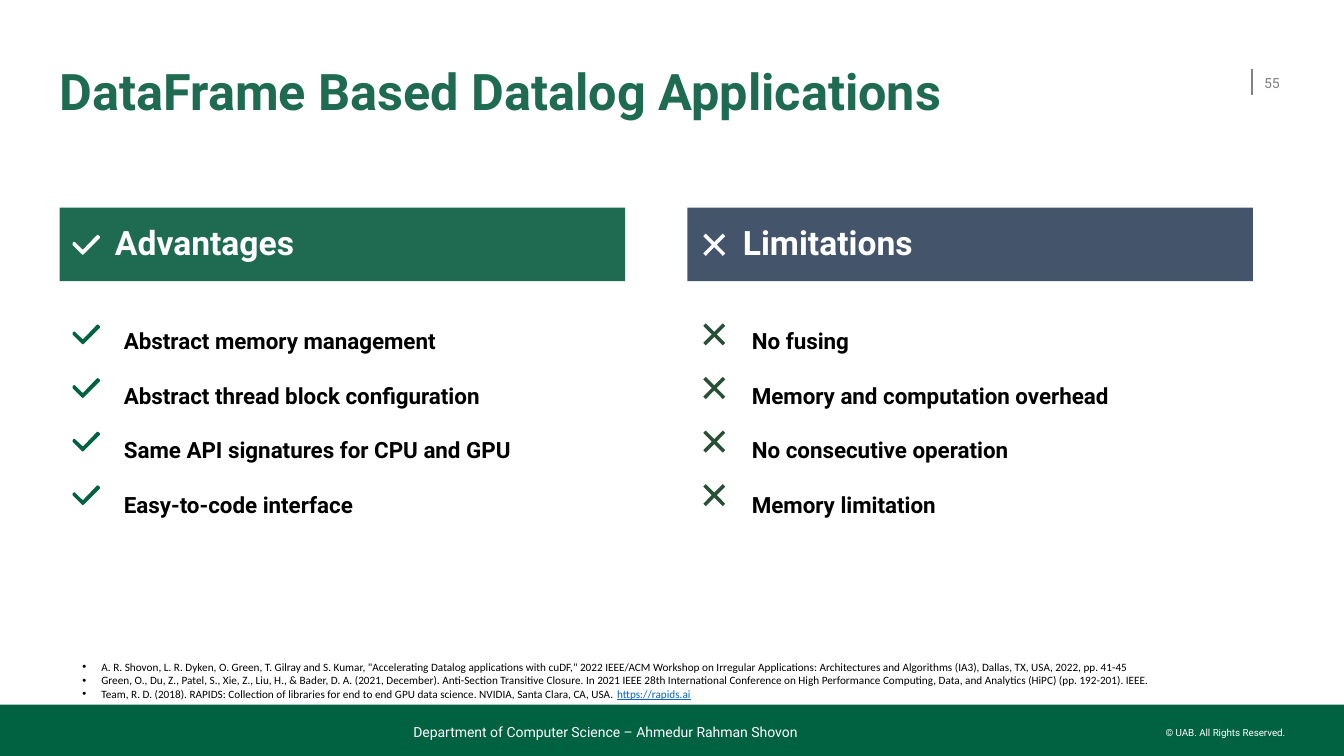
from dataclasses import dataclass

from lxml import etree
from pptx import Presentation
from pptx.dml.color import RGBColor
from pptx.enum.shapes import MSO_CONNECTOR, MSO_SHAPE
from pptx.enum.text import MSO_ANCHOR, PP_ALIGN
from pptx.oxml.ns import qn
from pptx.util import Emu, Inches, Pt

RECTANGLE = MSO_SHAPE.RECTANGLE
STRAIGHT = MSO_CONNECTOR.STRAIGHT
TOP, MIDDLE, BOTTOM = MSO_ANCHOR.TOP, MSO_ANCHOR.MIDDLE, MSO_ANCHOR.BOTTOM
LEFT, RIGHT = PP_ALIGN.LEFT, PP_ALIGN.RIGHT

WHITE = RGBColor(0xFF, 0xFF, 0xFF)
BLACK = RGBColor(0x00, 0x00, 0x00)
GREY = RGBColor(0x80, 0x82, 0x85)
TEAL = RGBColor(0x1E, 0x6B, 0x51)
SLATE = RGBColor(0x44, 0x54, 0x6A)
FOOTER_GREEN = RGBColor(0x00, 0x62, 0x41)
CROSS_GREEN = RGBColor(0x28, 0x51, 0x34)
LINK_BLUE = RGBColor(0x05, 0x63, 0xC1)

SLIDE_WIDTH, SLIDE_HEIGHT = Inches(13.33), Inches(7.5)


def across(percent: float) -> Emu:
    return Emu(round(SLIDE_WIDTH * percent / 100))


def down(percent: float) -> Emu:
    return Emu(round(SLIDE_HEIGHT * percent / 100))


@dataclass(frozen=True)
class Box:
    """A place on the slide, in percent of its width and height."""
    left: float
    top: float
    width: float
    height: float

    def emu(self) -> tuple[Emu, Emu, Emu, Emu]:
        return across(self.left), down(self.top), across(self.width), down(self.height)


@dataclass(frozen=True)
class Style:
    size: float
    color: RGBColor
    bold: bool = False
    font: str = "Roboto"


@dataclass(frozen=True)
class Label:
    text: str
    box: Box
    style: Style
    anchor: MSO_ANCHOR = TOP
    align: PP_ALIGN = LEFT
    wrap: bool = True


@dataclass(frozen=True)
class Side:
    heading: str
    left: float
    fill: RGBColor
    icon: str
    icon_color: RGBColor
    points: tuple[str, ...]


LABELS = (
    Label("DataFrame Based Datalog Applications", Box(4.43, 6.93, 87.22, 11.2),
          Style(36, TEAL, bold=True), MIDDLE),
    Label("55", Box(94.05, 8.27, 2.5, 5.33), Style(10, GREY), MIDDLE),
    Label("Department of Computer Science – Ahmedur Rahman Shovon",
          Box(30.75, 94.8, 53.1, 3.07), Style(10, WHITE), BOTTOM),
    Label("© UAB. All Rights Reserved.", Box(86.63, 96.13, 9, 1.6),
          Style(7, WHITE), align=RIGHT, wrap=False),
)

SIDES = (
    Side("Advantages", 4.43, TEAL, "check", FOOTER_GREEN,
         ("Abstract memory management", "Abstract thread block configuration",
          "Same API signatures for CPU and GPU", "Easy-to-code interface")),
    Side("Limitations", 51.15, SLATE, "cross", CROSS_GREEN,
         ("No fusing", "Memory and computation overhead",
          "No consecutive operation", "Memory limitation")),
)
HEADING_STYLE = Style(24, WHITE, bold=True)
POINT_STYLE = Style(16, BLACK, bold=True)
HEADING_ICON_TOP, FIRST_ICON_TOP, ICON_STEP = 31.07, 42.93, 7.09

CHECK_WIDTH, CHECK_UNITS = 2.03, 270
CHECK_OUTLINE = ((90, 190), (0, 100), (0, 80), (10, 70), (20, 70), (95, 143), (105, 143),
                 (240, 2), (250, 0), (268, 15), (270, 30), (110, 190), (100, 197))

REFERENCE_STYLE = Style(8, BLACK, font="Calibri")
REFERENCES = (
    'A. R. Shovon, L. R. Dyken, O. Green, T. Gilray and S. Kumar, "Accelerating Datalog '
    'applications with cuDF," 2022 IEEE/ACM Workshop on Irregular Applications: '
    'Architectures and Algorithms (IA3), Dallas, TX, USA, 2022, pp. 41-45',
    "Green, O., Du, Z., Patel, S., Xie, Z., Liu, H., & Bader, D. A. (2021, December). "
    "Anti-Section Transitive Closure. In 2021 IEEE 28th International Conference on High "
    "Performance Computing, Data, and Analytics (HiPC) (pp. 192-201). IEEE.",
    "Team, R. D. (2018). RAPIDS: Collection of libraries for end to end GPU data science. "
    "NVIDIA, Santa Clara, CA, USA. ",
)
REFERENCE_LINK = "https://rapids.ai"


def format_run(run, style: Style) -> None:
    run.font.name = style.font
    run.font.size = Pt(style.size)
    run.font.bold = style.bold
    run.font.color.rgb = style.color


def write(frame, text: str, style: Style) -> None:
    frame.text = text
    for paragraph in frame.paragraphs:
        for run in paragraph.runs:
            format_run(run, style)


def add_label(slide, label: Label) -> None:
    frame = slide.shapes.add_textbox(*label.box.emu()).text_frame
    frame.margin_left = frame.margin_right = frame.margin_top = frame.margin_bottom = 0
    frame.word_wrap = label.wrap
    frame.vertical_anchor = label.anchor
    write(frame, label.text, label.style)
    frame.paragraphs[0].alignment = label.align
    frame.paragraphs[0].line_spacing = 0.9 if label.style.bold else 1.0


def paint(shape, color: RGBColor) -> None:
    shape.shadow.inherit = False
    shape.fill.solid()
    shape.fill.fore_color.rgb = color
    shape.line.fill.background()


def add_bar(slide, box: Box, color: RGBColor):
    bar = slide.shapes.add_shape(RECTANGLE, *box.emu())
    paint(bar, color)
    return bar


def add_line(slide, start: tuple[float, float], end: tuple[float, float],
             color: RGBColor, weight: float) -> None:
    line = slide.shapes.add_connector(STRAIGHT, across(start[0]), down(start[1]),
                                      across(end[0]), down(end[1]))
    line.line.color.rgb = color
    line.line.width = Pt(weight)
    etree.SubElement(line._element.spPr, qn("a:effectLst"))


def add_check(slide, left: float, top: float, color: RGBColor) -> None:
    builder = slide.shapes.build_freeform(*CHECK_OUTLINE[0],
                                          scale=across(CHECK_WIDTH) / CHECK_UNITS)
    builder.add_line_segments(CHECK_OUTLINE[1:], close=True)
    paint(builder.convert_to_shape(across(left + 0.98), down(top)), color)


def add_cross(slide, left: float, top: float, color: RGBColor) -> None:
    start, end, bottom = left + 1.27, left + 2.72, top + 2.6
    add_line(slide, (start, top), (end, bottom), color, 2.5)
    add_line(slide, (start, bottom), (end, top), color, 2.5)


ICONS = {"check": add_check, "cross": add_cross}


def add_side(slide, side: Side) -> None:
    heading = add_bar(slide, Box(side.left, 27.47, 42.08, 9.73), side.fill).text_frame
    heading.margin_left = across(4.13)
    heading.vertical_anchor = MIDDLE
    write(heading, side.heading, HEADING_STYLE)
    heading.paragraphs[0].alignment = LEFT
    heading.paragraphs[0].line_spacing = 0.9

    points = slide.shapes.add_textbox(*Box(side.left + 4.05, 43.07, 37.95, 36.13).emu()).text_frame
    points.word_wrap = True
    write(points, "\n".join(side.points), POINT_STYLE)
    points.paragraphs[0].line_spacing = 0.9
    for paragraph in points.paragraphs[1:]:
        paragraph.line_spacing = 1.5
        paragraph.space_before = Pt(10)

    add_icon = ICONS[side.icon]
    add_icon(slide, side.left, HEADING_ICON_TOP, WHITE)
    for row in range(len(side.points)):
        add_icon(slide, side.left, FIRST_ICON_TOP + row * ICON_STEP, side.icon_color)


def add_references(slide) -> None:
    frame = slide.shapes.add_textbox(*Box(5.4, 86.67, 83.1, 6.67).emu()).text_frame
    frame.word_wrap = True
    write(frame, "\n".join(REFERENCES), REFERENCE_STYLE)
    indent = across(1.41)
    for paragraph in frame.paragraphs:
        properties = paragraph._p.get_or_add_pPr()
        properties.set("marL", str(indent))
        properties.set("indent", str(-indent))
        etree.SubElement(properties, qn("a:buFont"), typeface="Arial")
        etree.SubElement(properties, qn("a:buChar"), char="•")
    link = frame.paragraphs[-1].add_run()
    link.text = REFERENCE_LINK
    format_run(link, Style(8, LINK_BLUE, font="Calibri"))
    link.font.underline = True


def main() -> None:
    deck = Presentation()
    deck.slide_width, deck.slide_height = SLIDE_WIDTH, SLIDE_HEIGHT
    slide = deck.slides.add_slide(deck.slide_layouts[6])
    add_line(slide, (93.15, 9.07), (93.15, 12.53), GREY, 1)
    add_bar(slide, Box(0, 93.2, 100, 6.8), FOOTER_GREEN)
    for label in LABELS:
        add_label(slide, label)
    for side in SIDES:
        add_side(slide, side)
    add_references(slide)
    deck.save("out.pptx")


if __name__ == "__main__":
    main()
